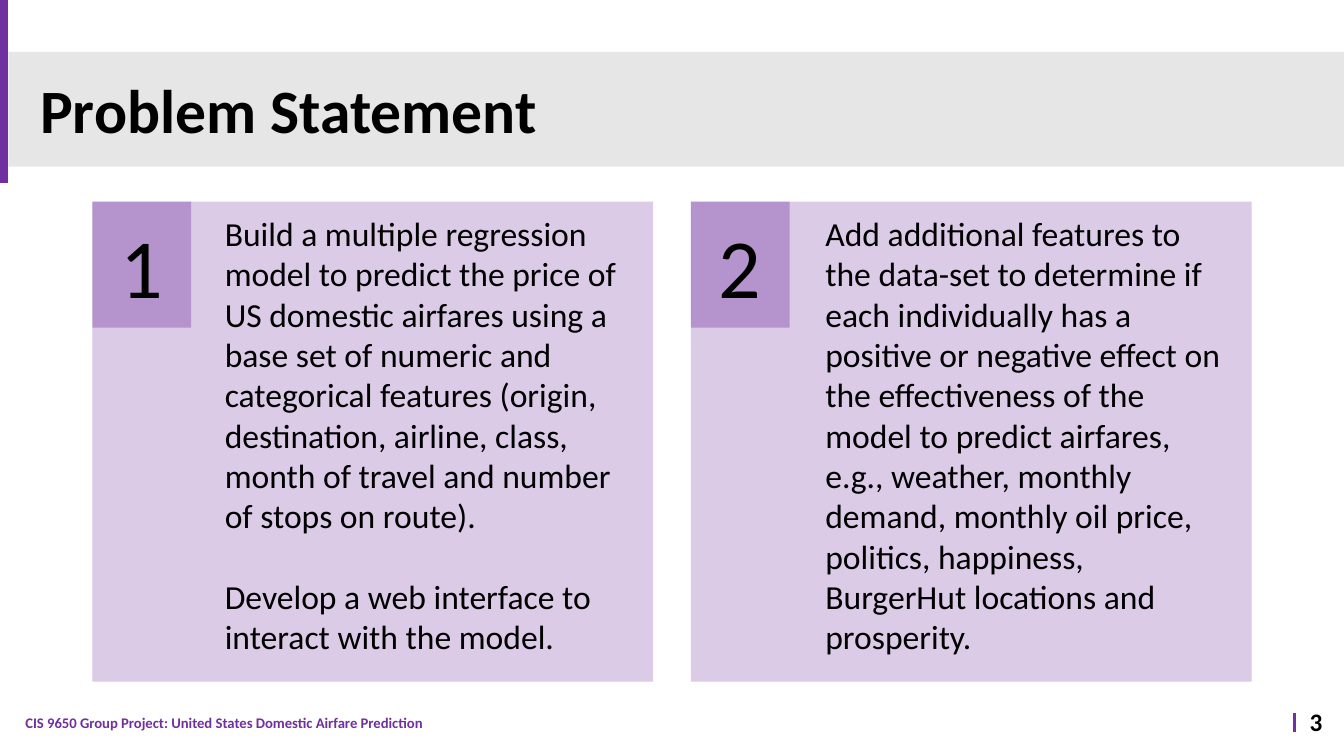
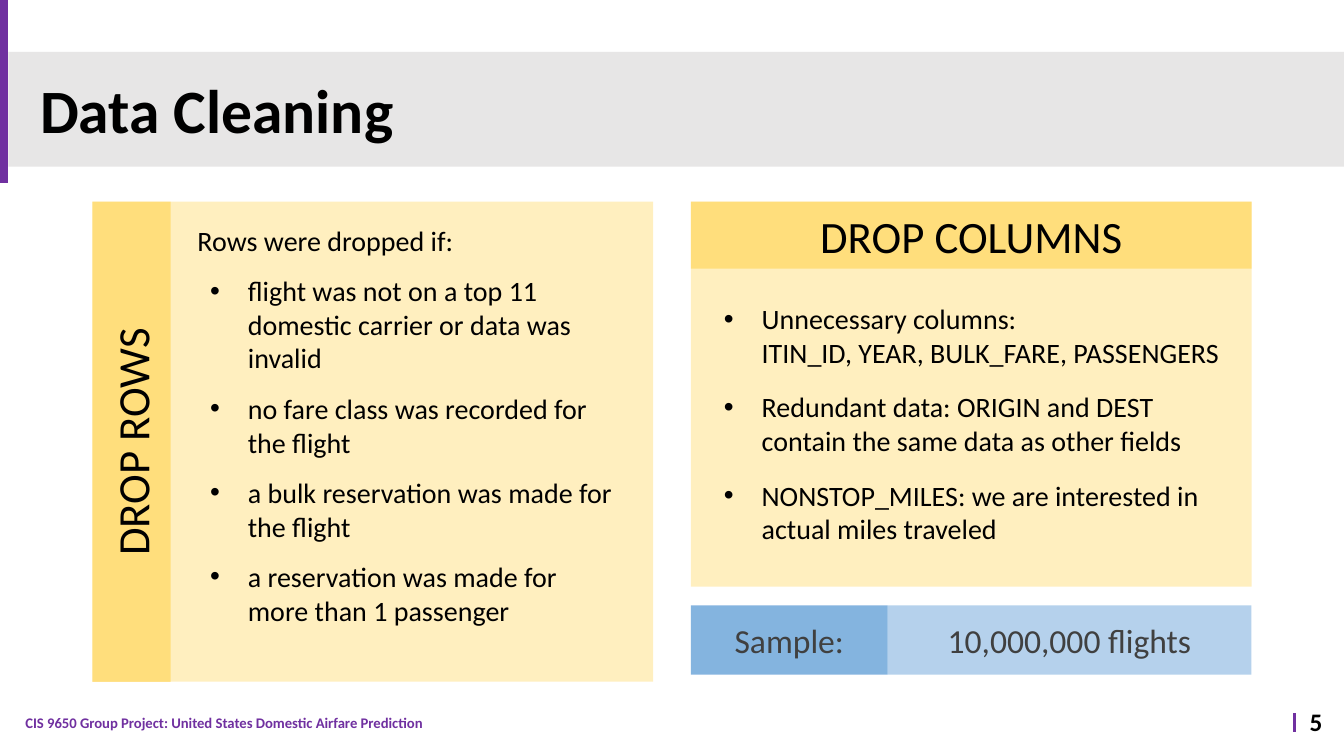
from dataclasses import dataclass

import pptx
import pptx.dml.color
import pptx.enum.shapes
import pptx.enum.text
import pptx.oxml
import pptx.oxml.ns
import pptx.oxml.xmlchemy
import pptx.presentation
import pptx.slide
import pptx.text.text
import pptx.util

Pt = pptx.util.Pt
Align = pptx.enum.text.PP_ALIGN
Anchor = pptx.enum.text.MSO_ANCHOR


@dataclass(frozen=True)
class Theme:
    face: str = "Calibri"
    ink: str = "000000"
    soft: str = "404040"
    band: str = "E7E6E6"
    purple: str = "7030A0"
    gold: str = "FFC000"
    blue: str = "5B9BD5"
    title: float = 44
    digit: float = 60
    head: float = 32
    large: float = 24
    body: float = 20
    page: float = 18
    foot: float = 10.5


@dataclass(frozen=True)
class Box:
    left: float
    top: float
    width: float
    height: float


@dataclass(frozen=True)
class Para:
    text: str
    before: float = 0
    after: float = 0
    left: float = 0
    hang: float = 0


@dataclass(frozen=True)
class Label:
    text: str
    size: float
    color: str = "000000"


@dataclass(frozen=True)
class Goal:
    left: float
    inset: float
    paras: tuple[Para, ...]


THEME = Theme()
WIDE, HIGH = 960, 540
TOP, PANEL, TALL = 144, 400.5, 343
LEFT, RIGHT = 66, 493.5
FOOT = "CIS 9650 Group Project: United States Domestic Airfare Prediction"


def rgb(code: str) -> pptx.dml.color.RGBColor:
    return pptx.dml.color.RGBColor.from_string(code)


def child(parent, tag: str, **attrs: str):
    node = pptx.oxml.xmlchemy.OxmlElement(tag)
    for key, value in attrs.items():
        node.set(key, value)
    parent.append(node)
    return node


def style(para: pptx.text.text._Paragraph, size: float, color: str, bold: bool = False) -> None:
    font = para.font
    font.name, font.size, font.bold = THEME.face, Pt(size), bold
    font.color.rgb = rgb(color)


def rect(slide: pptx.slide.Slide, box: Box, color: str, alpha: int = 100,
         label: Label | None = None, turn: float = 0) -> None:
    shape = slide.shapes.add_shape(
        pptx.enum.shapes.MSO_SHAPE.RECTANGLE,
        Pt(box.left), Pt(box.top), Pt(box.width), Pt(box.height))
    shape.shadow.inherit = False
    shape.rotation = turn
    shape.line.fill.background()
    shape.fill.solid()
    shape.fill.fore_color.rgb = rgb(color)
    if alpha < 100:
        tone = shape.fill._xPr.find(".//" + pptx.oxml.ns.qn("a:srgbClr"))
        child(tone, "a:alpha", val=str(alpha * 1000))
    if label:
        shape.text_frame.vertical_anchor = Anchor.MIDDLE
        para = shape.text_frame.paragraphs[0]
        para.text, para.alignment = label.text, Align.CENTER
        style(para, label.size, label.color)


def line(slide: pptx.slide.Slide, left: float, top: float, end: float, width: float) -> None:
    rule = slide.shapes.add_connector(
        pptx.enum.shapes.MSO_CONNECTOR.STRAIGHT, Pt(left), Pt(top), Pt(left), Pt(end))
    rule.line.color.rgb = rgb(THEME.purple)
    rule.line.width = Pt(width)
    child(rule._element.spPr, "a:effectLst")


def write(slide: pptx.slide.Slide, box: Box, paras: tuple[Para, ...], size: float,
          color: str = THEME.ink, bold: bool = False, align: Align = Align.LEFT) -> None:
    frame = slide.shapes.add_textbox(
        Pt(box.left), Pt(box.top), Pt(box.width), Pt(box.height)).text_frame
    frame.word_wrap = True
    for spot, item in enumerate(paras):
        para = frame.add_paragraph() if spot else frame.paragraphs[0]
        para.text, para.alignment = item.text, align
        props = para._p.get_or_add_pPr()
        props.set("marL", str(Pt(item.left)))
        props.set("indent", str(Pt(-item.hang)))
        if item.hang:
            child(props, "a:buFont", typeface="Arial")
            child(props, "a:buChar", char="•")
        if item.before:
            para.space_before = Pt(item.before)
        para.space_after = Pt(item.after)
        style(para, size, color, bold)


def start(deck: pptx.presentation.Presentation, name: str, page: str) -> pptx.slide.Slide:
    slide = deck.slides.add_slide(deck.slide_layouts[5])
    write(slide, Box(920, 501, 40, 29), (Para(page),), THEME.page, bold=True, align=Align.CENTER)
    rect(slide, Box(6, 37, WIDE - 6, 82), THEME.band)
    line(slide, 3, 0, 131, 6)
    line(slide, 924.5, 509.5, 523, 2)
    write(slide, Box(11, 506, 605, 21), (Para(FOOT),), THEME.foot, THEME.purple, True)
    title = slide.shapes.title
    title.left, title.top, title.width, title.height = Pt(21.5), Pt(29), Pt(828), Pt(104)
    frame = title.text_frame
    frame.auto_size = pptx.enum.text.MSO_AUTO_SIZE.NONE
    frame.vertical_anchor = Anchor.MIDDLE
    para = frame.paragraphs[0]
    para.text, para.alignment, para.line_spacing = name, Align.LEFT, 0.9
    style(para, THEME.title, THEME.ink, True)
    slide.shapes._spTree.append(title._element)
    return slide


def problem(deck: pptx.presentation.Presentation) -> None:
    slide = start(deck, "Problem Statement", "3")
    goals = (
        Goal(LEFT, 87.5, (
            Para("Build a multiple regression model to predict the price of US domestic "
                 "airfares using a base set of numeric and categorical features (origin, "
                 "destination, airline, class, month of travel and number of stops on route)."),
            Para("Develop a web interface to interact with the model.", before=29))),
        Goal(RIGHT, 89, (
            Para("Add additional features to the data-set to determine if each individually "
                 "has a positive or negative effect on the effectiveness of the model to "
                 "predict airfares, e.g., weather, monthly demand, monthly oil price, "
                 "politics, happiness, BurgerHut locations and prosperity."),)),
    )
    for count, goal in enumerate(goals, 1):
        rect(slide, Box(goal.left, TOP, PANEL, TALL), THEME.purple, 25)
        rect(slide, Box(goal.left, TOP, 70.5, 90), THEME.purple, 35,
             Label(str(count), THEME.digit))
        write(slide, Box(goal.left + goal.inset, 148.5, 304.5, 327), goal.paras, THEME.large)


def clean(deck: pptx.presentation.Presentation) -> None:
    slide = start(deck, "Data Cleaning", "5")
    strip, head, cell = 56, 48, 140.5
    rect(slide, Box(LEFT, TOP, PANEL, TALL), THEME.gold, 25)
    rect(slide, Box(RIGHT, TOP, PANEL, 275), THEME.gold, 25)
    rect(slide, Box(LEFT + (strip - TALL) / 2, TOP + (TALL - strip) / 2, TALL, strip),
         THEME.gold, 35, Label("DROP ROWS", THEME.head), 270)
    rows = (
        "flight was not on a top 11 domestic carrier or data was invalid",
        "no fare class was recorded for the flight",
        "a bulk reservation was made for the flight",
        "a reservation was made for more than 1 passenger",
    )
    intro = Para("Rows were dropped if:", after=12, left=4.5)
    write(slide, Box(129.5, 156, 321, 298),
          (intro, *(Para(text, after=12, left=40.5, hang=27) for text in rows)), THEME.body)
    rect(slide, Box(RIGHT, TOP, PANEL, head), THEME.gold, 35, Label("DROP COLUMNS", THEME.head))
    fields = (
        "Unnecessary columns:\vITIN_ID, YEAR, BULK_FARE, PASSENGERS",
        "Redundant data: ORIGIN and DEST contain the same data as other fields",
        "NONSTOP_MILES: we are interested in actual miles traveled",
    )
    write(slide, Box(501, 212, 380, 183),
          tuple(Para(text, after=15, left=36, hang=27) for text in fields), THEME.body)
    rect(slide, Box(RIGHT + cell, 432.5, PANEL - cell, 49.5), THEME.blue, 45,
         Label("10,000,000 flights", THEME.large, THEME.soft))
    rect(slide, Box(RIGHT, 432.5, cell, 49.5), THEME.blue, 75,
         Label("Sample:", THEME.large, THEME.soft))


def main() -> None:
    deck = pptx.Presentation()
    deck.slide_width, deck.slide_height = Pt(WIDE), Pt(HIGH)
    problem(deck)
    clean(deck)
    deck.save("out.pptx")


if __name__ == "__main__":
    main()
